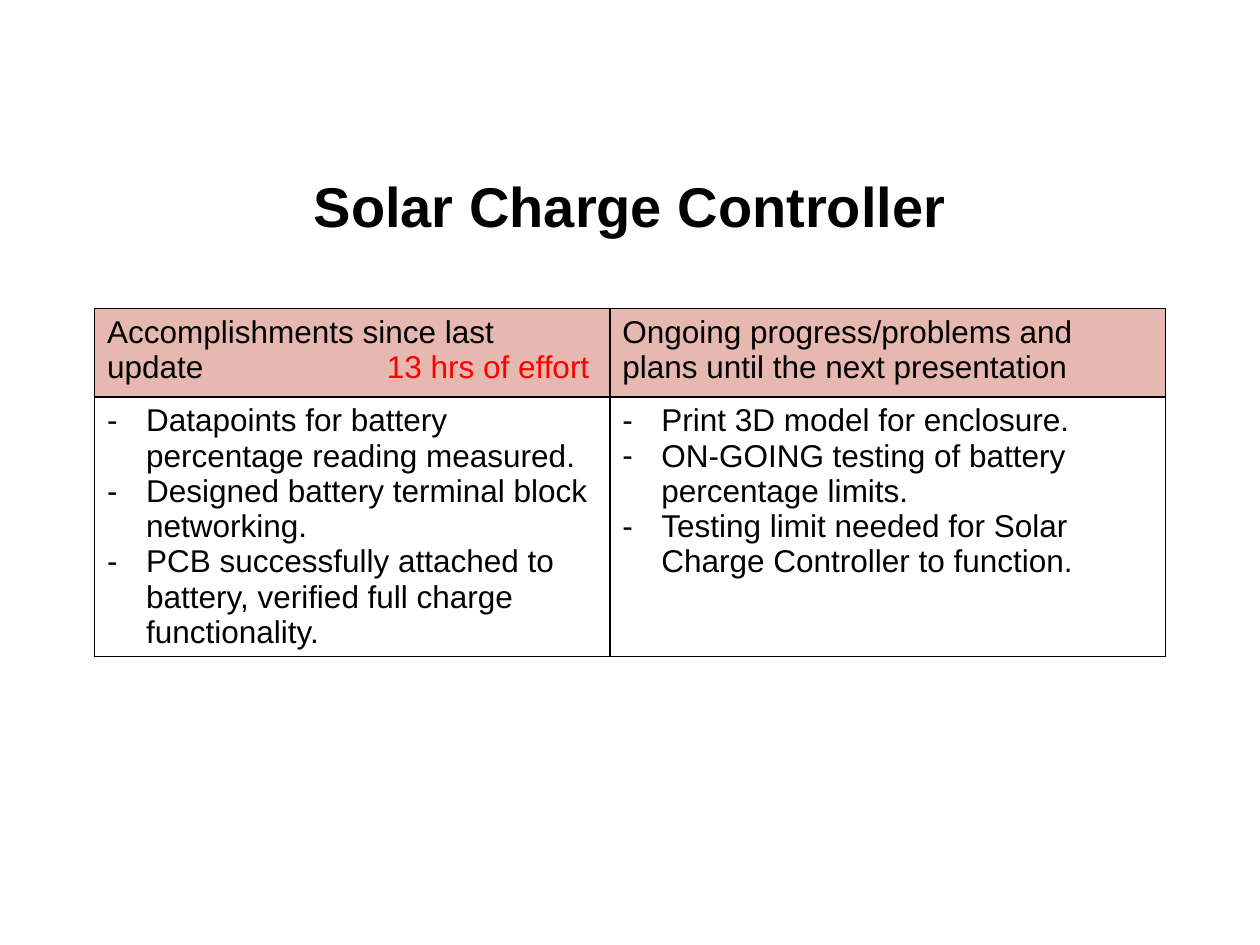
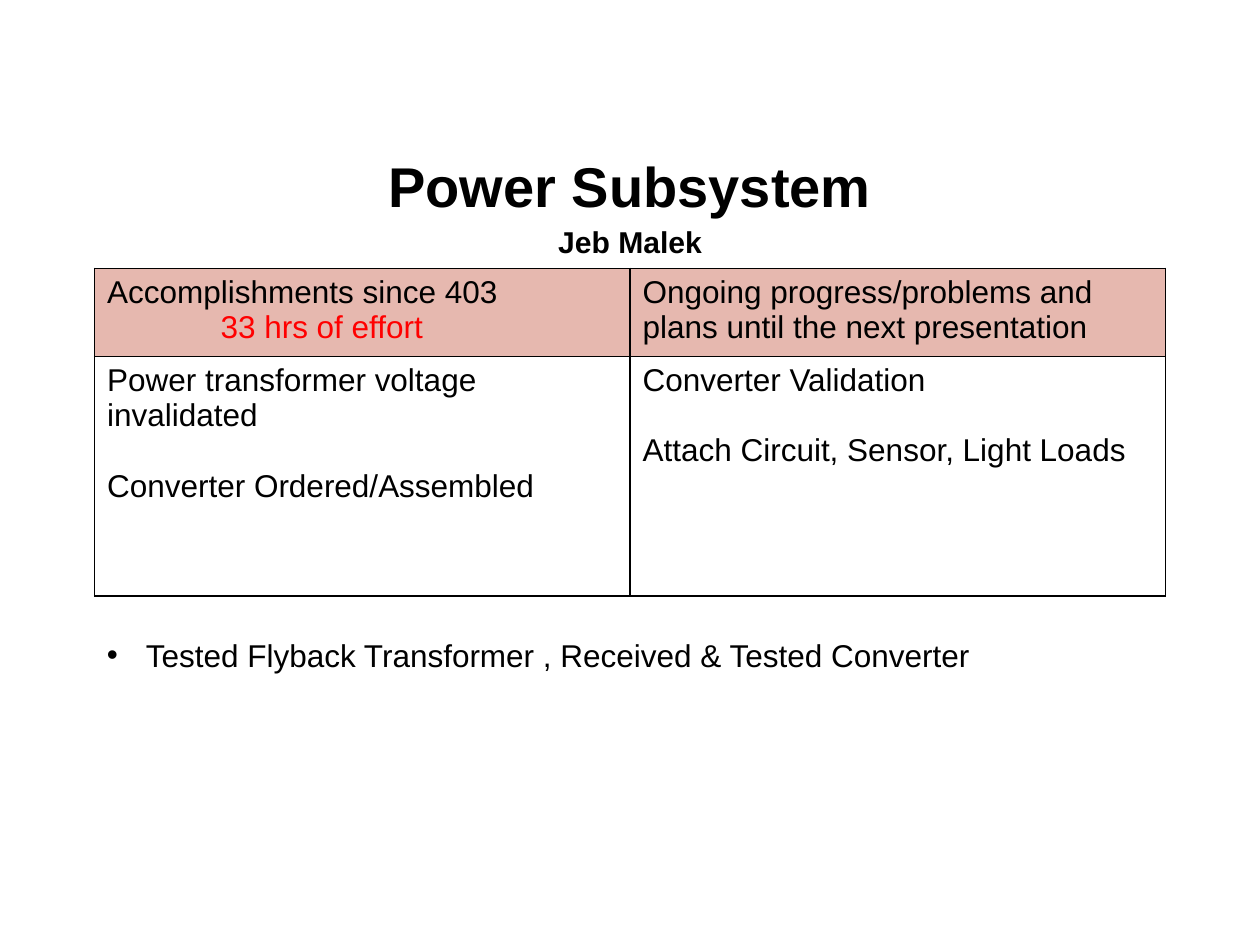
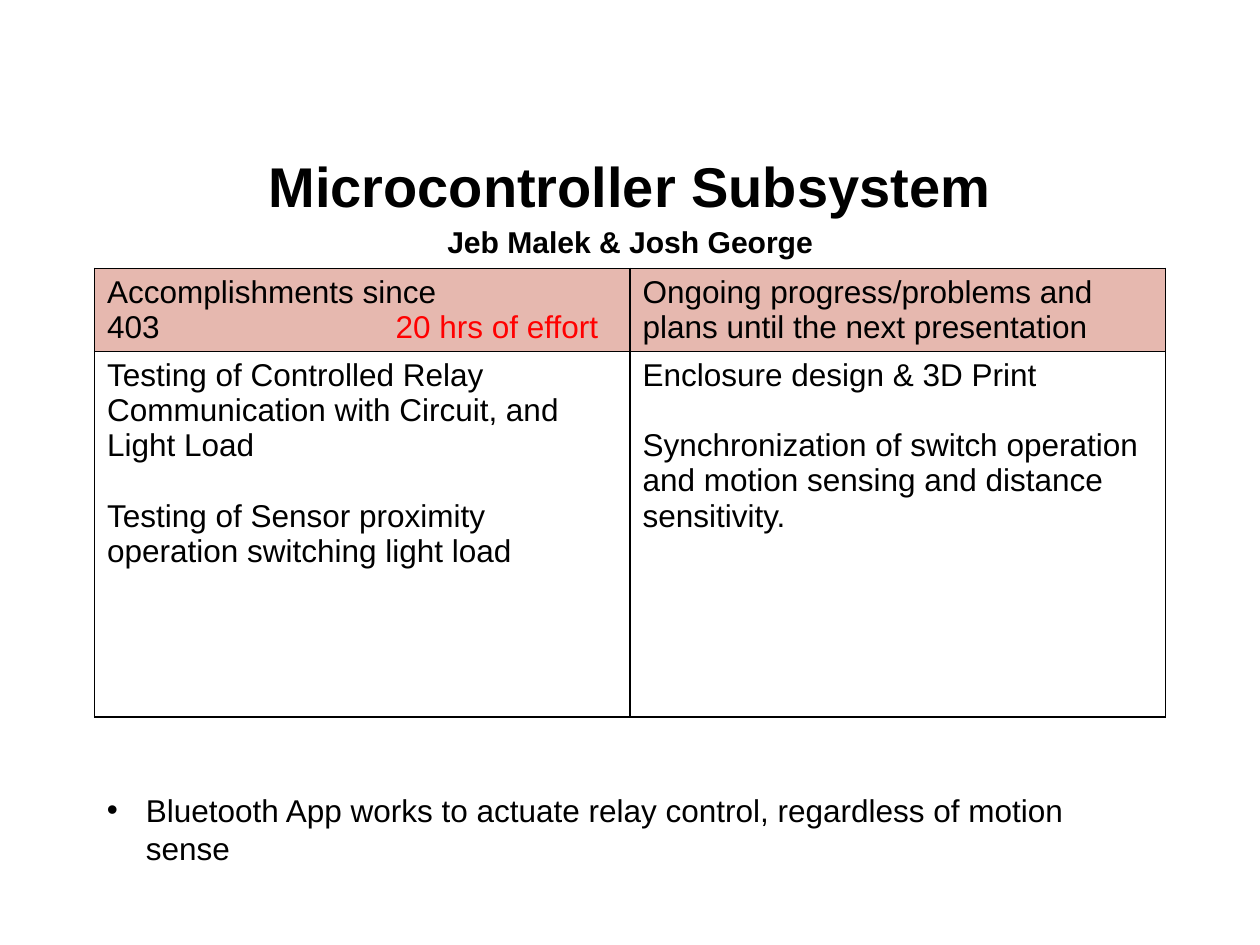
from dataclasses import dataclass

from lxml import etree
from pptx import Presentation
from pptx import util as u
from pptx.dml.color import RGBColor
from pptx.enum import text
from pptx.oxml.ns import qn


@dataclass(frozen=True)
class Theme:
    font: str = "Arial"
    ink: RGBColor = RGBColor(0, 0, 0)
    effort: RGBColor = RGBColor(0xFF, 0, 0)
    header: RGBColor = RGBColor(0xE6, 0xB8, 0xAF)
    title_size: float = 32
    name_size: float = 17.2
    body_size: float = 18
    gap: float = 20
    border: float = 1
    indent: float = 0.31


THEME = Theme()
TITLE_BOX = (0.5, 1.15, 9, 0.88)
PLANS = "Ongoing progress/problems and plans until the next presentation"


@dataclass(frozen=True)
class Update:
    title: str
    names: str
    heading: tuple
    effort: str
    effort_tab: float
    done: tuple
    plans: tuple
    table_box: tuple
    first_column: float = 4.25
    header_height: float = 0.7
    bullet: str = ""
    note: str = ""
    note_box: tuple = ()


UPDATES = [
    Update(
        title="Solar Charge Controller",
        names="",
        heading=("Accomplishments since last", "update"),
        effort="13 hrs of effort",
        effort_tab=2.22,
        done=(
            "Datapoints for battery percentage reading measured.",
            "Designed battery terminal block networking.",
            "PCB successfully attached to battery, verified full charge functionality.",
        ),
        plans=(
            "Print 3D model for enclosure.",
            "ON-GOING testing of battery percentage limits.",
            "Testing limit needed for Solar Charge Controller to function.",
        ),
        table_box=(0.75, 2.45, 8.5, 2.76),
        first_column=4.09,
        bullet="-",
    ),
    Update(
        title="Power Subsystem",
        names="Jeb Malek",
        heading=("Accomplishments since 403", ""),
        effort="33 hrs of effort",
        effort_tab=0.9,
        done=("Power transformer voltage invalidated", "Converter Ordered/Assembled"),
        plans=("Converter Validation", "Attach Circuit, Sensor, Light Loads"),
        table_box=(0.75, 2.13, 8.5, 2.6),
        note="Tested Flyback Transformer , Received & Tested Converter",
        note_box=(0.75, 5, 8.5, 0.4),
    ),
    Update(
        title="Microcontroller Subsystem",
        names="Jeb Malek & Josh George",
        heading=("Accomplishments since", "403"),
        effort="20 hrs of effort",
        effort_tab=2.29,
        done=(
            "Testing of Controlled Relay Communication with Circuit, and Light Load",
            "Testing of Sensor proximity operation switching light load",
        ),
        plans=(
            "Enclosure design & 3D Print",
            "Synchronization of switch operation and motion sensing and distance sensitivity.",
        ),
        table_box=(0.75, 2.13, 8.5, 3.56),
        header_height=0.66,
        note="Bluetooth App works to actuate relay control, regardless of motion sense",
        note_box=(0.75, 6.23, 8.5, 1.01),
    ),
]


def inches(box):
    return [u.Inches(length) for length in box]


def style(para, size=THEME.body_size, bold=False):
    font = para.font
    font.name, font.size, font.bold = THEME.font, u.Pt(size), bold
    font.color.rgb = THEME.ink


def add_bullet(para, mark):
    props = para._p.get_or_add_pPr()
    props.set("marL", str(u.Inches(THEME.indent)))
    props.set("indent", str(-u.Inches(THEME.indent)))
    etree.SubElement(props, qn("a:buFont"), typeface=THEME.font)
    etree.SubElement(props, qn("a:buChar")).set("char", mark)


def add_tab(para, position):
    stops = etree.SubElement(para._p.get_or_add_pPr(), qn("a:tabLst"))
    etree.SubElement(stops, qn("a:tab"), pos=str(u.Inches(position)), algn="l")


def write_lines(frame, lines, bullet=""):
    for index, line in enumerate(lines):
        para = frame.add_paragraph() if index else frame.paragraphs[0]
        para.text = line
        if bullet:
            add_bullet(para, bullet)
        elif index:
            para.space_before = u.Pt(THEME.gap)
        style(para)


def write_heading(frame, update):
    first, second = update.heading
    para = frame.paragraphs[0]
    add_tab(para, update.effort_tab)
    style(para)
    para.add_run().text = first
    para.add_line_break()
    para.add_run().text = second + "\t"
    span = para.add_run()
    span.text = update.effort
    span.font.color.rgb = THEME.effort


def format_cell(cell, fill=None):
    props = cell._tc.get_or_add_tcPr()
    for side in ("lnL", "lnR", "lnT", "lnB"):
        line = etree.SubElement(props, qn(f"a:{side}"), w=str(u.Pt(THEME.border)))
        solid = etree.SubElement(line, qn("a:solidFill"))
        etree.SubElement(solid, qn("a:srgbClr"), val=str(THEME.ink))
    if fill is None:
        cell.fill.background()
    else:
        cell.fill.solid()
        cell.fill.fore_color.rgb = fill


def place_title(page, update, box):
    title = page.shapes.title
    title.left, title.top, title.width, title.height = inches(box)
    frame = title.text_frame
    frame.auto_size = text.MSO_AUTO_SIZE.NONE
    frame.vertical_anchor = text.MSO_ANCHOR.MIDDLE
    frame.text = "\n".join(filter(None, (update.title, update.names)))
    for para, size in zip(frame.paragraphs, (THEME.title_size, THEME.name_size)):
        para.alignment = text.PP_ALIGN.CENTER
        para.line_spacing = 1.15
        para.space_before = u.Pt(0)
        style(para, size, bold=True)


def place_table(page, update, box):
    width, height = box[2:]
    table = page.shapes.add_table(2, 2, *inches(box)).table
    table.first_row = table.horz_banding = False
    table.columns[0].width = u.Inches(update.first_column)
    table.columns[1].width = u.Inches(width - update.first_column)
    table.rows[0].height = u.Inches(update.header_height)
    table.rows[1].height = u.Inches(height - update.header_height)
    for column, lines in enumerate((update.done, update.plans)):
        format_cell(table.cell(0, column), THEME.header)
        format_cell(table.cell(1, column))
        write_lines(table.cell(1, column).text_frame, lines, update.bullet)
    write_heading(table.cell(0, 0).text_frame, update)
    write_lines(table.cell(0, 1).text_frame, [PLANS])


def place_note(page, note, box):
    frame = page.shapes.add_textbox(*inches(box)).text_frame
    frame.word_wrap = True
    write_lines(frame, [note], "•")


def add_update_page(deck, update):
    page = deck.slides.add_slide(deck.slide_layouts[5])
    place_title(page, update, TITLE_BOX)
    place_table(page, update, update.table_box)
    if update.note:
        place_note(page, update.note, update.note_box)


def main():
    deck = Presentation()
    deck.slide_width, deck.slide_height = u.Inches(10), u.Inches(7.5)
    for update in UPDATES:
        add_update_page(deck, update)
    deck.save("out.pptx")


if __name__ == "__main__":
    main()
